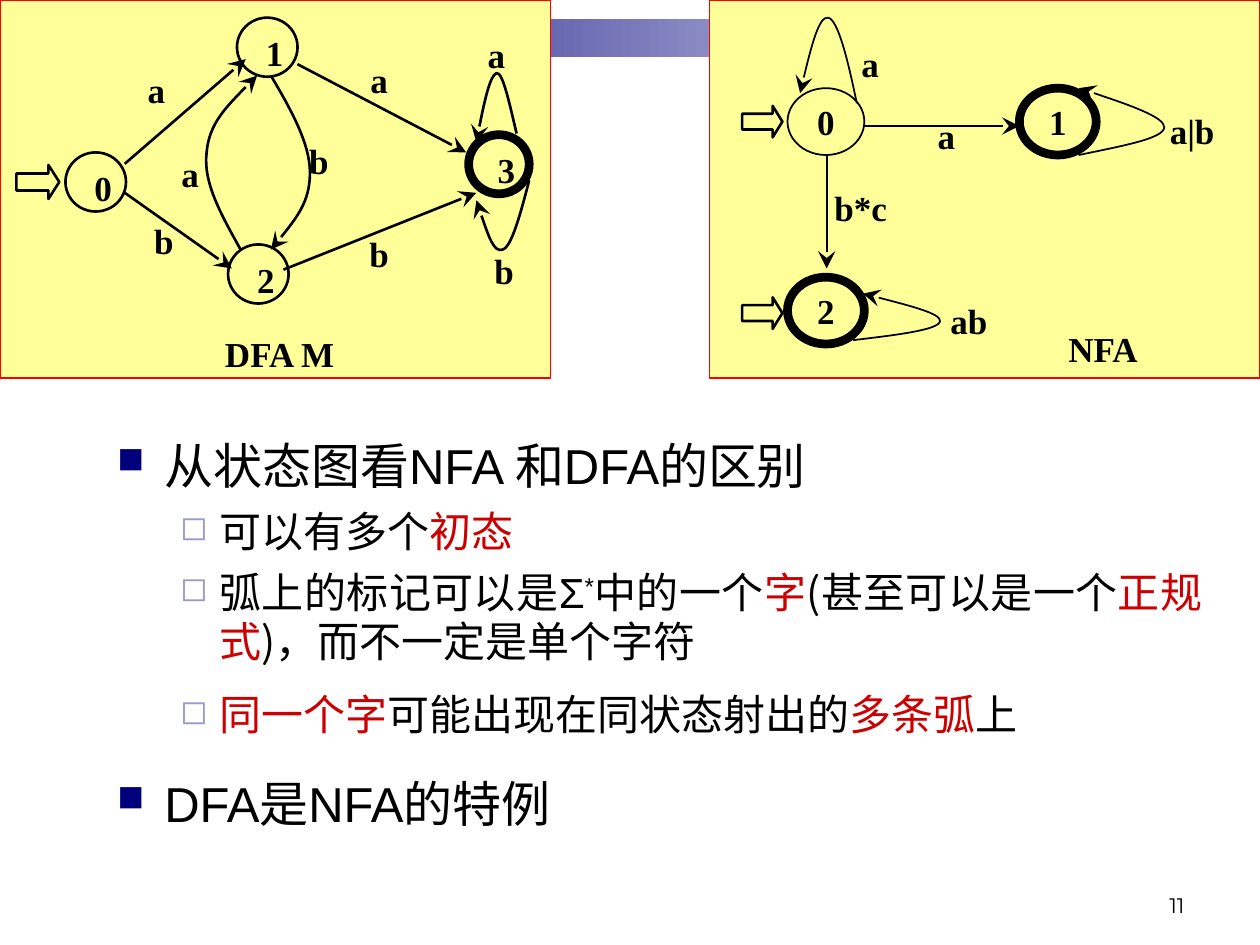
from dataclasses import dataclass
from lxml import etree
from pptx import Presentation
from pptx import util as u
from pptx.dml.color import RGBColor
from pptx.enum import shapes, text
from pptx.oxml import ns


@dataclass(frozen=True)
class Theme:
    """Colours, fonts and type sizes of the deck."""
    ink: str = "000000"
    accent: str = "CC0000"
    panel: str = "FFFF99"
    frame: str = "FF0000"
    navy: str = "00007D"
    lilac: str = "9999CC"
    white: str = "FFFFFF"
    latin: str = "Arial"
    chinese: str = "Noto Sans CJK SC"
    serif: str = "Times New Roman"
    number: str = "Montserrat"
    label_size: int = 20
    number_size: int = 12


@dataclass(frozen=True)
class Level:
    """Look of one bullet level."""
    size: int
    margin: float
    indent: float
    bullet: str
    colour: str
    scale: int


THEME = Theme()
LEVELS = (
    Level(28, 27, -27, "■", THEME.navy, 75),
    Level(24, 58.5, -22.5, "◻", THEME.lilac, 80),
)
ALIGN = text.PP_ALIGN
ANCHOR = text.MSO_ANCHOR


def colour(value):
    """Return a colour object for a hex string."""
    return RGBColor.from_string(value)


def add_child(parent, tag, **attributes):
    """Append a drawing element with its attributes."""
    child = etree.SubElement(parent, ns.qn(tag))
    for name, value in attributes.items():
        child.set(name, str(value))
    return child


def style_shape(shape, weight, line=THEME.ink, fill=None):
    """Give a shape its outline and its fill, without a shadow."""
    shape.shadow.inherit = False
    if fill:
        shape.fill.solid()
        shape.fill.fore_color.rgb = colour(fill)
    else:
        shape.fill.background()
    shape.line.color.rgb = colour(line)
    shape.line.width = u.Pt(weight)


def add_preset(page, kind, box):
    """Add a preset shape in a box of points."""
    return page.shapes.add_shape(kind, *map(u.Pt, box))


def write_label(shape, words, align=ALIGN.CENTER, anchor=ANCHOR.MIDDLE):
    """Write one bold state or arc label."""
    frame = shape.text_frame
    frame.vertical_anchor = anchor
    para = frame.paragraphs[0]
    para.text = words
    para.alignment = align
    font = para.font
    font.name, font.size, font.bold = THEME.serif, u.Pt(THEME.label_size), True
    font.color.rgb = colour(THEME.ink)
    return frame


def add_label(page, origin, words, x, y, width=60):
    """Place a label centred on a point."""
    height = 30
    box = (origin[0] + x - width / 2, origin[1] + y - height / 2, width, height)
    write_label(page.shapes.add_textbox(*map(u.Pt, box)), words).word_wrap = False


def add_state(page, box, words, weight):
    """Add a state circle and return its text frame."""
    state = add_preset(page, shapes.MSO_SHAPE.OVAL, box)
    style_shape(state, weight)
    return write_label(state, words)


def add_start(page, box, ratio):
    """Add the block arrow that marks an initial state."""
    arrow = add_preset(page, shapes.MSO_SHAPE.RIGHT_ARROW, box)
    arrow.adjustments[1] = ratio
    style_shape(arrow, 1.5)


def add_head(shape):
    """End a line with a large stealth arrowhead."""
    add_child(shape.line._get_or_add_ln(), "a:tailEnd", type="stealth", w="lg", len="lg")


def add_arc(page, origin, start, end, weight):
    """Draw a straight arc between two points."""
    points = [u.Pt(origin[i % 2] + value) for i, value in enumerate(start + end)]
    arc = page.shapes.add_connector(shapes.MSO_CONNECTOR.STRAIGHT, *points)
    arc.line.color.rgb = colour(THEME.ink)
    arc.line.width = u.Pt(weight)
    add_head(arc)
    add_child(arc._element.spPr, "a:effectLst")


def add_curve(page, origin, points, weight):
    """Draw a curved arc from a start point and two Bezier triples."""
    places = [(u.Pt(origin[0] + x), u.Pt(origin[1] + y)) for x, y in points]
    builder = page.shapes.build_freeform(*places[0])
    builder.add_line_segments(places[1:], close=False)
    curve = builder.convert_to_shape()
    outline = curve._element.spPr.find(".//" + ns.qn("a:path"))
    segments = outline.findall(ns.qn("a:lnTo"))
    for first in range(0, len(segments), 3):
        bezier = add_child(outline, "a:cubicBezTo")
        for segment in segments[first:first + 3]:
            bezier.append(segment[0])
            outline.remove(segment)
    style_shape(curve, weight)
    add_head(curve)


def add_panel(page, box):
    """Add the yellow backdrop of a state diagram."""
    style_shape(add_preset(page, shapes.MSO_SHAPE.RECTANGLE, box), 1, THEME.frame, THEME.panel)


def dfa_panel(page, box):
    """Draw the deterministic automaton."""
    left, top = origin = box[:2]
    add_panel(page, box)
    for words, x, y, weight in (("0", 37.4, 87.1, 1.5), ("1", 135.4, 10.1, 1.5),
                                ("2", 130.3, 139.7, 1.5), ("3", 267.8, 77, 5)):
        frame = add_state(page, (left + x, top + y, 34.6, 33.8), words, weight)
        frame.margin_left, frame.margin_top = u.Pt(11.5), u.Pt(2.9)
        frame.margin_right = frame.margin_bottom = 0
        frame.vertical_anchor = ANCHOR.TOP
        frame.paragraphs[0].alignment = ALIGN.JUSTIFY
    for start, end in (((71.3, 93.6), (140.4, 33.8)), ((170, 36.7), (266.4, 87.1)),
                       ((71.3, 110.2), (132.5, 153.4)), ((162, 154.1), (272.2, 110.2))):
        add_arc(page, origin, start, end, 1.5)
    for points in (
        ((137.5, 142.6), (126.7, 123.1), (115.9, 104.4), (118.1, 87.1),
         (119.5, 70.6), (133.2, 56.9), (146.9, 43.2)),
        ((154.8, 43.2), (166.3, 62.6), (177.1, 82.1), (177.1, 98.6),
         (177.1, 115.2), (166.3, 128.9), (154.8, 142.6)),
        ((295.2, 76.3), (290.9, 58.3), (287.3, 41), (283.7, 41.8),
         (280.1, 43.2), (275.8, 61.9), (272.2, 81.4)),
        ((302.4, 103), (297.4, 122.4), (292.3, 141.1), (287.3, 142.6),
         (282.2, 144.7), (277.2, 129.6), (272.2, 114.5)),
    ):
        add_curve(page, origin, points, 1.5)
    for words, x, y in (("a", 89.3, 51.1), ("a", 108.7, 99), ("a", 216.7, 45.7),
                        ("a", 283.7, 31.3), ("b", 182.2, 91.8), ("b", 93.6, 137.2),
                        ("b", 288, 154.4), ("b", 216.7, 144.7)):
        add_label(page, origin, words, x, y)
    add_label(page, origin, "DFA M", 159.8, 202, 136)
    add_start(page, (left + 9.4, top + 94.3, 24.5, 19.4), 0.32)


def nfa_panel(page, box):
    """Draw the nondeterministic automaton."""
    left, top = origin = box[:2]
    add_panel(page, box)
    for words, x, y, weight in (("0", 44.6, 50.4, 1), ("2", 44.6, 158.4, 5), ("1", 177.1, 50.4, 5)):
        add_state(page, (left + x, top + y, 43.9, 38.2), words, weight).word_wrap = False
    for words, x, y in (("a", 91.8, 36.4), ("a", 135.4, 77.4), ("a|b", 275.8, 74.5),
                        ("b*c", 86.4, 118.4), ("ab", 148.3, 183.2), ("NFA", 224.9, 199.4)):
        add_label(page, origin, words, x, y)
    for start, end in (((88.6, 72), (177.1, 72)), ((67, 88.6), (67, 153.4))):
        add_arc(page, origin, start, end, 1)
    for points in (
        ((84.2, 59), (79.2, 34.6), (73.4, 10.8), (67.7, 10.1),
         (62.6, 9.4), (56.9, 31), (51.8, 53.3)),
        ((82.1, 194.4), (106.6, 191.5), (131, 188.6), (131.8, 183.6),
         (132.5, 179.3), (110.2, 173.5), (87.8, 167.8)),
        ((211, 88.6), (235.4, 83.5), (259.9, 79.2), (259.9, 72.7),
         (259.9, 67), (235.4, 58.3), (211, 50.4)),
    ):
        add_curve(page, origin, points, 1)
    for y in (60.5, 169.9):
        add_start(page, (left + 18.7, top + y, 23, 18), 0.31)


def title_band(page, box):
    """Draw the fading band behind the panels."""
    band = add_preset(page, shapes.MSO_SHAPE.RECTANGLE, box)
    band.shadow.inherit = False
    band.line.fill.background()
    band.fill.gradient()
    band.fill.gradient_angle = 0
    for stop, value, place in zip(band.fill.gradient_stops, (THEME.navy, THEME.white), (0, 1)):
        stop.color.rgb = colour(value)
        stop.position = place


def bullet_list(page, box):
    """Write the comparison; a star marks red spans and a caret superscripts."""
    frame = page.shapes.add_textbox(*map(u.Pt, box)).text_frame
    frame.word_wrap = True
    rows = (
        (0, 37, 0, (("从状态图看", ""), ("NFA ", "L"), ("和", ""), ("DFA", "L"), ("的区别", ""))),
        (1, 28, 7, (("可以有多个", ""), ("初态", "*"))),
        (1, 28, 7, (("弧上的标记可以是", ""), ("Σ", "L"), ("*", "L^"), ("中的一个", ""), ("字", "*"),
                    ("(甚至可以是一个", ""), ("正规式", "*"), (")，而不一定是单个字符", ""))),
        (1, 28, 14, (("同一个字", "*"), ("可能出现在同状态射出的", ""), ("多条弧", "*"), ("上", ""))),
        (0, 46, 7, (("DFA", "L"), ("是", ""), ("NFA", "L"), ("的特例", ""))),
    )
    for index, (depth, height, before, spans) in enumerate(rows):
        para = frame.add_paragraph() if index else frame.paragraphs[0]
        level = LEVELS[depth]
        para.level = depth
        para.alignment = ALIGN.JUSTIFY
        para.line_spacing, para.space_before = u.Pt(height), u.Pt(before)
        props = para._p.get_or_add_pPr()
        props.set("marL", str(u.Pt(level.margin)))
        props.set("indent", str(u.Pt(level.indent)))
        add_child(add_child(props, "a:buClr"), "a:srgbClr", val=level.colour)
        add_child(props, "a:buSzPct", val=level.scale * 1000)
        add_child(props, "a:buChar", char=level.bullet)
        para.font.size = u.Pt(level.size)
        for words, marks in spans:
            span = para.add_run()
            span.text = words
            span.font.name = THEME.latin if "L" in marks else THEME.chinese
            span.font.color.rgb = colour(THEME.accent if "*" in marks else THEME.ink)
            run_props = span._r.get_or_add_rPr()
            add_child(run_props, "a:ea", typeface=THEME.chinese)
            if "^" in marks:
                run_props.set("baseline", "30000")


def page_number(page, box):
    """Write the page number at the lower right."""
    frame = page.shapes.add_textbox(*map(u.Pt, box)).text_frame
    frame.word_wrap = True
    frame.vertical_anchor = ANCHOR.BOTTOM
    para = frame.paragraphs[0]
    para.text = "11"
    para.alignment = ALIGN.RIGHT
    para.font.name, para.font.size = THEME.number, u.Pt(THEME.number_size)
    para.font.color.rgb = colour(THEME.ink)


def main():
    """Build and save the deck."""
    deck = Presentation()
    deck.slide_width, deck.slide_height = u.Pt(720), u.Pt(540)
    page = deck.slides.add_slide(deck.slide_layouts[6])
    title_band(page, (32.4, 10.8, 687.6, 21.6))
    page_number(page, (516.2, 491.8, 167.8, 36))
    bullet_list(page, (59.8, 241.9, 634.3, 238.3))
    panel_width, panel_height = 314.6, 216
    dfa_panel(page, (0, 0, panel_width, panel_height))
    nfa_panel(page, (720 - panel_width, 0, panel_width, panel_height))
    deck.save("out.pptx")


if __name__ == "__main__":
    main()
